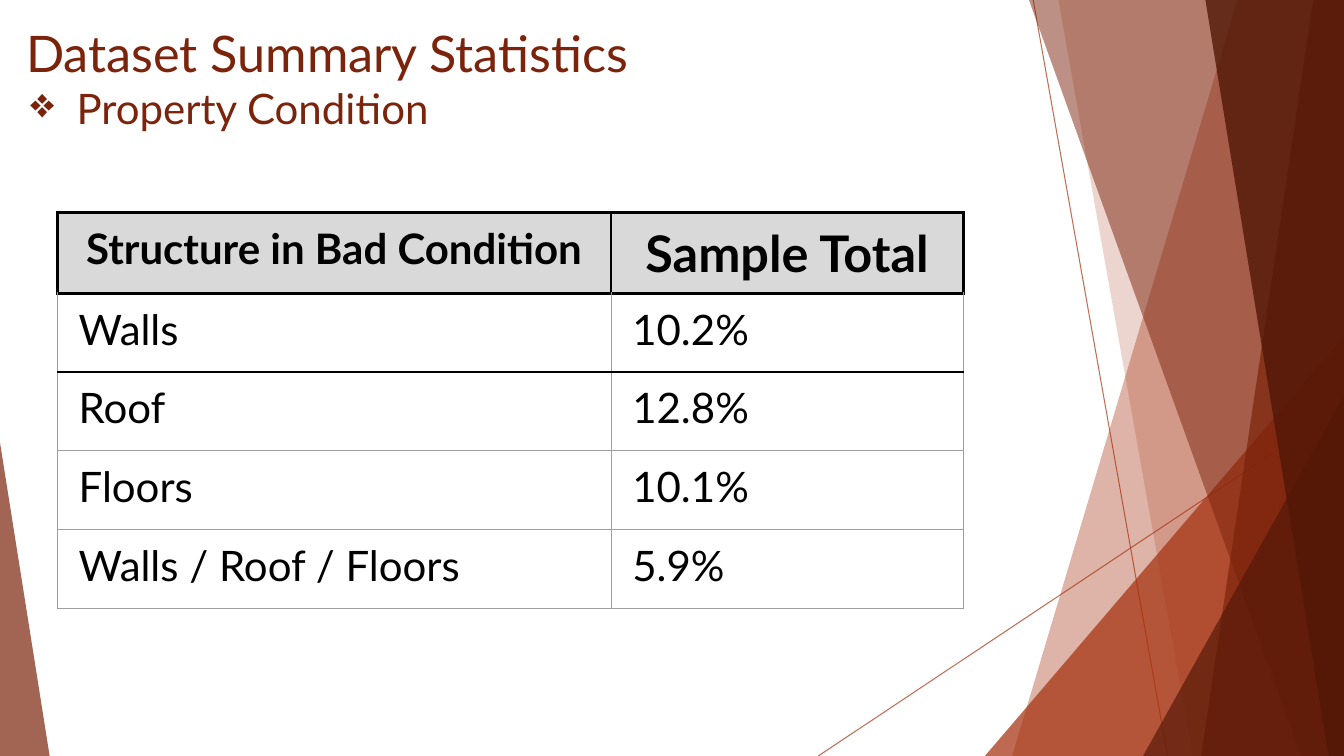
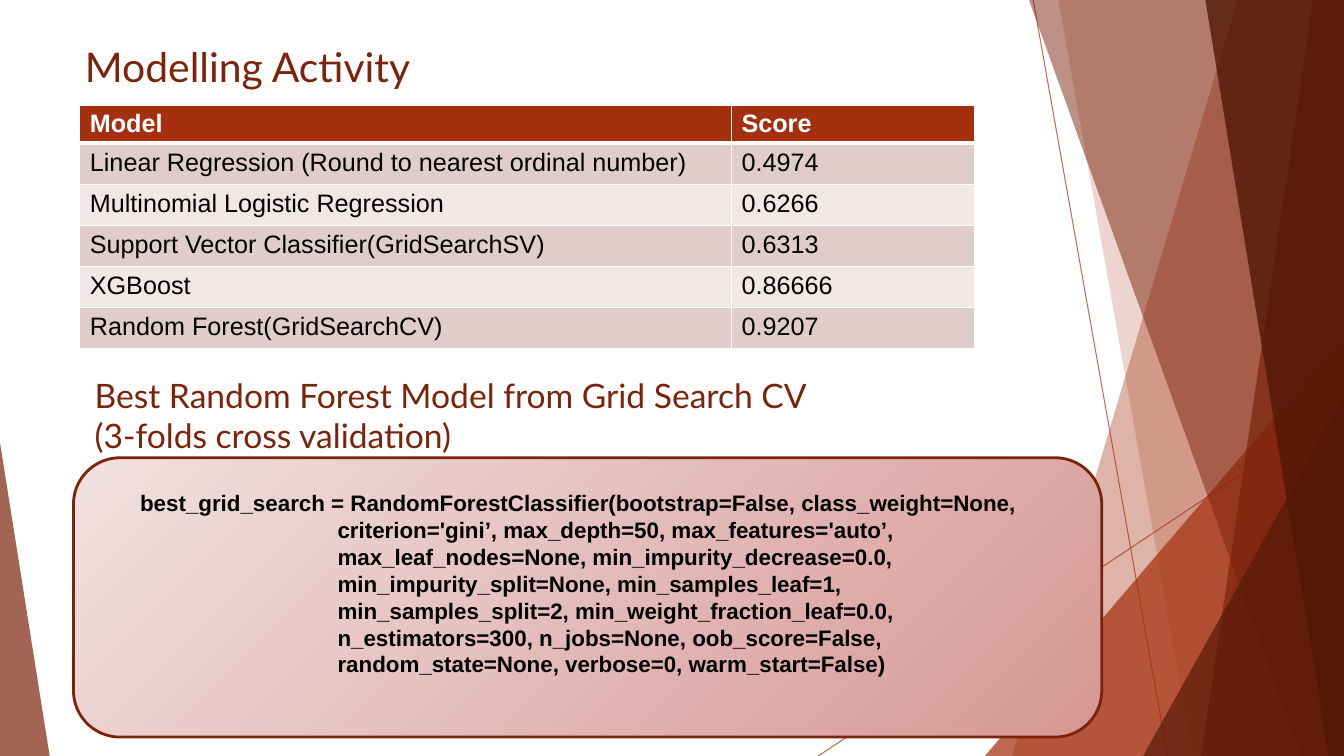
import lxml.etree
import pptx
import pptx.dml.color
import pptx.enum.shapes
import pptx.enum.text
import pptx.oxml.ns
import pptx.util

Pt = pptx.util.Pt
qn = pptx.oxml.ns.qn
SHAPE = pptx.enum.shapes.MSO_SHAPE
ALIGN = pptx.enum.text.PP_ALIGN
WIDTH, HEIGHT = 960, 540
COLORS = {
    "rust": "A5300F", "brown": "7B230B", "dark": "521707",
    "black": "000000", "white": "FFFFFF", "gray": "9E9E9E",
    "header": "D9D9D9", "band": "E0CCCA", "pale": "F0E7E6",
    "rose": "D69793", "blush": "F1E1E0",
}
CONDITIONS = [
    ("Structure in Bad Condition", "Sample Total"),
    ("Walls", "10.2%"),
    ("Roof", "12.8%"),
    ("Floors", "10.1%"),
    ("Walls / Roof / Floors", "5.9%"),
]
SCORES = [
    ("Model", "Score"),
    ("Linear Regression (Round to nearest ordinal number)", "0.4974"),
    ("Multinomial Logistic Regression", "0.6266"),
    ("Support Vector Classifier(GridSearchSV)", "0.6313"),
    ("XGBoost", "0.86666"),
    ("Random Forest(GridSearchCV)", "0.9207"),
]
CODE = [
    "best_grid_search = RandomForestClassifier(bootstrap=False, class_weight=None,",
    "criterion='gini’, max_depth=50, max_features='auto’,",
    "max_leaf_nodes=None, min_impurity_decrease=0.0,",
    "min_impurity_split=None, min_samples_leaf=1,",
    "min_samples_split=2, min_weight_fraction_leaf=0.0,",
    "n_estimators=300, n_jobs=None, oob_score=False,",
    "random_state=None, verbose=0, warm_start=False)",
]


def rgb(name):
    """Return the named colour."""
    return pptx.dml.color.RGBColor.from_string(COLORS[name])


def set_alpha(sp, percent):
    """Make the colours of a shape partly transparent."""
    for color in sp.element.iter(qn("a:srgbClr")):
        lxml.etree.SubElement(color, qn("a:alpha"), val=str(percent * 1000))


def tint(sp, color, alpha):
    """Give a facet its translucent fill without outline or shadow."""
    sp.shadow.inherit = False
    sp.fill.solid()
    sp.fill.fore_color.rgb = rgb(color)
    sp.line.fill.background()
    set_alpha(sp, alpha)


def add_ray(s, x1, y1, x2, y2):
    """Draw a thin translucent line."""
    sp = s.shapes.add_connector(
        pptx.enum.shapes.MSO_CONNECTOR.STRAIGHT, Pt(x1), Pt(y1), Pt(x2), Pt(y2))
    sp.line.color.rgb = rgb("rust")
    sp.line.width = Pt(0.75)
    set_alpha(sp, 70)
    lxml.etree.SubElement(sp.element.spPr, qn("a:effectLst"))


def add_facet(s, top_x, bottom_x, color, alpha):
    """Draw a full-height facet that reaches the right edge."""
    builder = s.shapes.build_freeform(Pt(top_x), 0)
    builder.add_line_segments([
        (Pt(WIDTH), 0), (Pt(WIDTH), Pt(HEIGHT)), (Pt(bottom_x), Pt(HEIGHT))])
    tint(builder.convert_to_shape(), color, alpha)


def add_wedge(s, x, y, w, apex, color, alpha):
    """Draw a triangle that stands on the bottom edge."""
    sp = s.shapes.add_shape(
        SHAPE.ISOSCELES_TRIANGLE, Pt(x), Pt(y), Pt(w), Pt(HEIGHT - y))
    sp.adjustments[0] = apex
    tint(sp, color, alpha)


def decorate_layout(s, layout):
    """Draw the facets on a new slide and move them behind its layout."""
    add_ray(s, 738, 0, 834, HEIGHT)
    add_ray(s, WIDTH, 290, 584.5, HEIGHT)
    add_facet(s, 884, 723, "rust", 36)
    add_facet(s, 756, 852, "rust", 20)
    add_wedge(s, 703.5, 240, 256.5, 1, "rust", 72)
    add_facet(s, 735, 929.5, "brown", 50)
    add_facet(s, 938, 858, "brown", 70)
    add_facet(s, 861, 949, "dark", 80)
    add_wedge(s, 816.5, 283, 143.5, 1, "dark", 66)
    add_wedge(s, 0, 316, 35.5, 0, "brown", 70)
    facets = [sp for sp in s.shapes if not sp.is_placeholder]
    for i, sp in enumerate(facets):
        sp.element.xpath(".//p:cNvPr")[0].set("id", str(100 + i))
        layout.shapes.element.insert(2 + i, sp.element)


def add_run(p, text, size, color="brown", font="Lato", bold=False):
    """Add one formatted run."""
    r = p.add_run()
    r.text = text
    r.font.name = font
    r.font.size = Pt(size)
    r.font.bold = bold
    r.font.color.rgb = rgb(color)


def indent(p, left, first=0):
    """Set the left margin and first-line indent."""
    pPr = p._p.get_or_add_pPr()
    pPr.set("marL", str(Pt(left)))
    pPr.set("indent", str(Pt(first)))
    return pPr


def add_bullet(p, left, first, char):
    """Give a paragraph a coloured bullet."""
    pPr = indent(p, left, first)
    color = lxml.etree.SubElement(pPr, qn("a:buClr"))
    lxml.etree.SubElement(color, qn("a:srgbClr"), val=COLORS["brown"])
    lxml.etree.SubElement(pPr, qn("a:buChar"), char=char)


def set_title(s, text, size, x, y, h):
    """Place and fill the title placeholder."""
    title = s.shapes.title
    title.left, title.top, title.width, title.height = Pt(x), Pt(y), Pt(677), Pt(h)
    tf = title.text_frame
    tf.vertical_anchor = pptx.enum.text.MSO_ANCHOR.TOP
    tf.auto_size = pptx.enum.text.MSO_AUTO_SIZE.NONE
    p = tf.paragraphs[0]
    p.alignment = ALIGN.LEFT
    add_run(p, text, size)
    return tf


def add_text(s, lines, x, y, w, h, size, **style):
    """Add a text box with one paragraph per line."""
    tf = s.shapes.add_textbox(Pt(x), Pt(y), Pt(w), Pt(h)).text_frame
    tf.word_wrap = True
    for i, line in enumerate(lines):
        p = tf.add_paragraph() if i else tf.paragraphs[0]
        add_run(p, line, size, **style)
    return tf


def set_borders(cell, borders):
    """Draw left, right, top and bottom borders in that order."""
    tcPr = cell._tc.get_or_add_tcPr()
    for i, (side, (color, width)) in enumerate(zip("LRTB", borders)):
        ln = lxml.etree.Element(qn("a:ln" + side), w=str(Pt(width)))
        fill = lxml.etree.SubElement(ln, qn("a:solidFill"))
        lxml.etree.SubElement(fill, qn("a:srgbClr"), val=COLORS[color])
        tcPr.insert(i, ln)


def add_grid(s, rows, x, y, widths, heights, look):
    """Add a table whose rows are styled by look(row index)."""
    frame = s.shapes.add_table(
        len(rows), len(widths), Pt(x), Pt(y), Pt(sum(widths)), Pt(sum(heights)))
    table = frame.table
    table.horz_banding = False
    for column, w in zip(table.columns, widths):
        column.width = Pt(w)
    for i, (row, texts) in enumerate(zip(table.rows, rows)):
        row.height = Pt(heights[i])
        style = look(i)
        for cell, text in zip(row.cells, texts):
            cell.margin_top = cell.margin_bottom = Pt(style["inset"])
            if style["fill"]:
                cell.fill.solid()
                cell.fill.fore_color.rgb = rgb(style["fill"])
            else:
                cell.fill.background()
            set_borders(cell, style["borders"])
            p = cell.text_frame.paragraphs[0]
            p.alignment = style["align"]
            indent(p, style["indent"])
            add_run(p, text, **style["run"])
    return table


def condition_look(i):
    """Style a row of the property condition table."""
    head = i == 0
    thick, thin = ("black", 2.25), ("gray", 0.75)
    side = thick if head else thin
    return {
        "inset": 7.2, "fill": "header" if head else None,
        "align": ALIGN.CENTER if head else ALIGN.LEFT,
        "indent": 0 if head else 8,
        "borders": (side, side, thick if i < 3 else thin, thick if i < 2 else thin),
        "run": {"size": 30, "color": "black", "bold": head},
    }


def score_look(i):
    """Style a row of the model score table."""
    head = i == 0
    thick, thin = ("white", 3), ("white", 1)
    return {
        "inset": 3.6, "fill": "rust" if head else "band" if i % 2 else "pale",
        "align": ALIGN.LEFT, "indent": 0,
        "borders": (thin, thin, thick if i == 1 else thin, thick if head else thin),
        "run": {"size": 18, "font": "Arial", "bold": head,
                "color": "white" if head else "black"},
    }


def add_panel(s, x, y, w, h):
    """Draw the rounded gradient panel."""
    sp = s.shapes.add_shape(SHAPE.ROUNDED_RECTANGLE, Pt(x), Pt(y), Pt(w), Pt(h))
    sp.shadow.inherit = False
    sp.fill.gradient()
    sp.fill.gradient_angle = 135
    for stop, color in zip(sp.fill.gradient_stops, ("rose", "blush")):
        stop.color.rgb = rgb(color)
    sp.line.color.rgb = rgb("brown")
    sp.line.width = Pt(2)


def build_condition_slide(s):
    """Build the dataset summary slide."""
    tf = set_title(s, "Dataset Summary Statistics", 36, 11.5, 12, 116)
    p = tf.add_paragraph()
    p.alignment = ALIGN.LEFT
    add_bullet(p, 36, -33, "❖")
    add_run(p, "Property Condition", 30)
    table = add_grid(s, CONDITIONS, 41, 152, (395.5, 251.5), [56.2] * 5, condition_look)
    table.cell(0, 1).text_frame.paragraphs[0].runs[0].font.size = Pt(36)


def build_model_slide(s):
    """Build the modelling slide."""
    set_title(s, "Modelling Activity", 29.2, 53.5, 26, 59)
    add_grid(s, SCORES, 57, 75, (465.5, 173.5), [26] + [29.3] * 5, score_look)
    add_panel(s, 52.5, 327, 734.5, 199.5)
    add_text(s, ["Best Random Forest Model from Grid Search CV", "(3-folds cross validation)"],
             60.5, 264, 752, 59, 24)
    tf = add_text(s, CODE, 93, 346, 652, 143, 16, color="black", font="Arial", bold=True)
    for i, p in enumerate(tf.paragraphs):
        p.line_spacing = Pt(19.2)
        indent(p, 141 if i else 0)


def main():
    """Build and save the presentation."""
    prs = pptx.Presentation()
    prs.slide_width, prs.slide_height = Pt(WIDTH), Pt(HEIGHT)
    layout = prs.slide_layouts.get_by_name("Title Only")
    condition, model = [prs.slides.add_slide(layout) for _ in range(2)]
    decorate_layout(condition, layout)
    build_condition_slide(condition)
    build_model_slide(model)
    prs.save("out.pptx")


if __name__ == "__main__":
    main()
